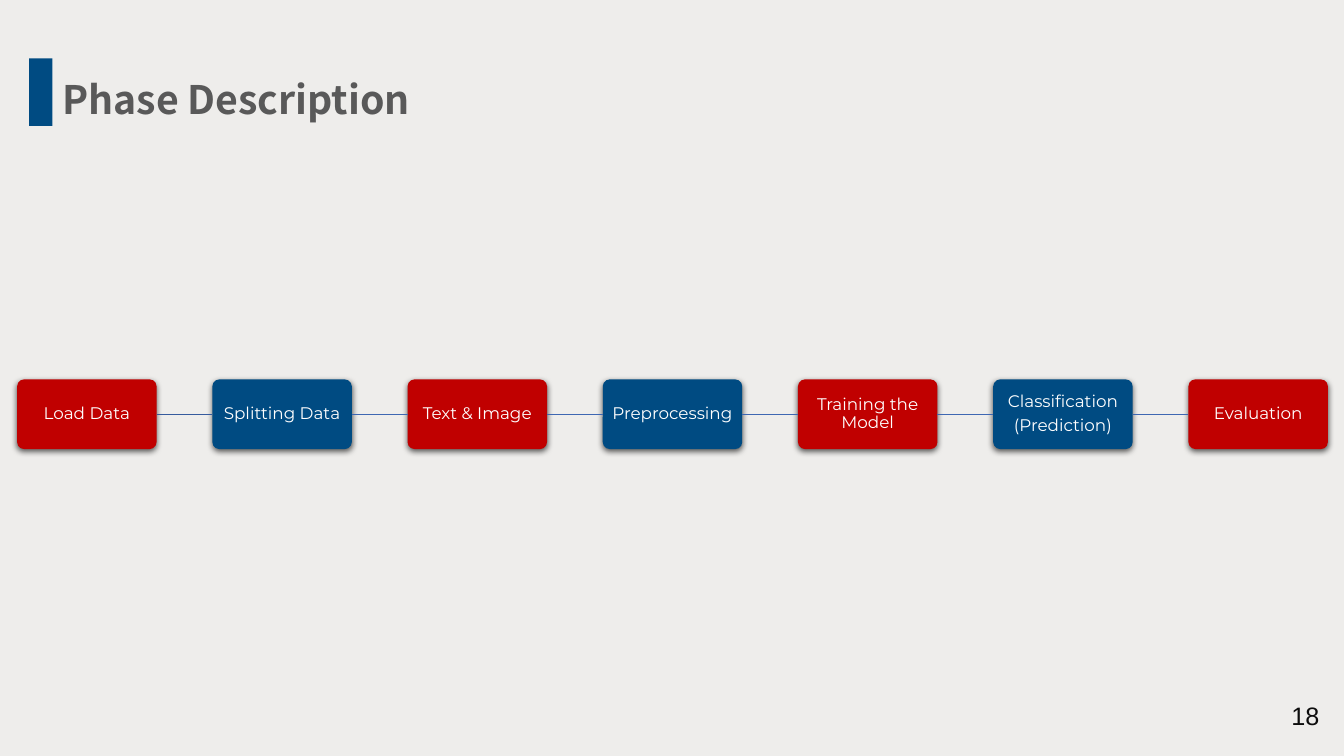
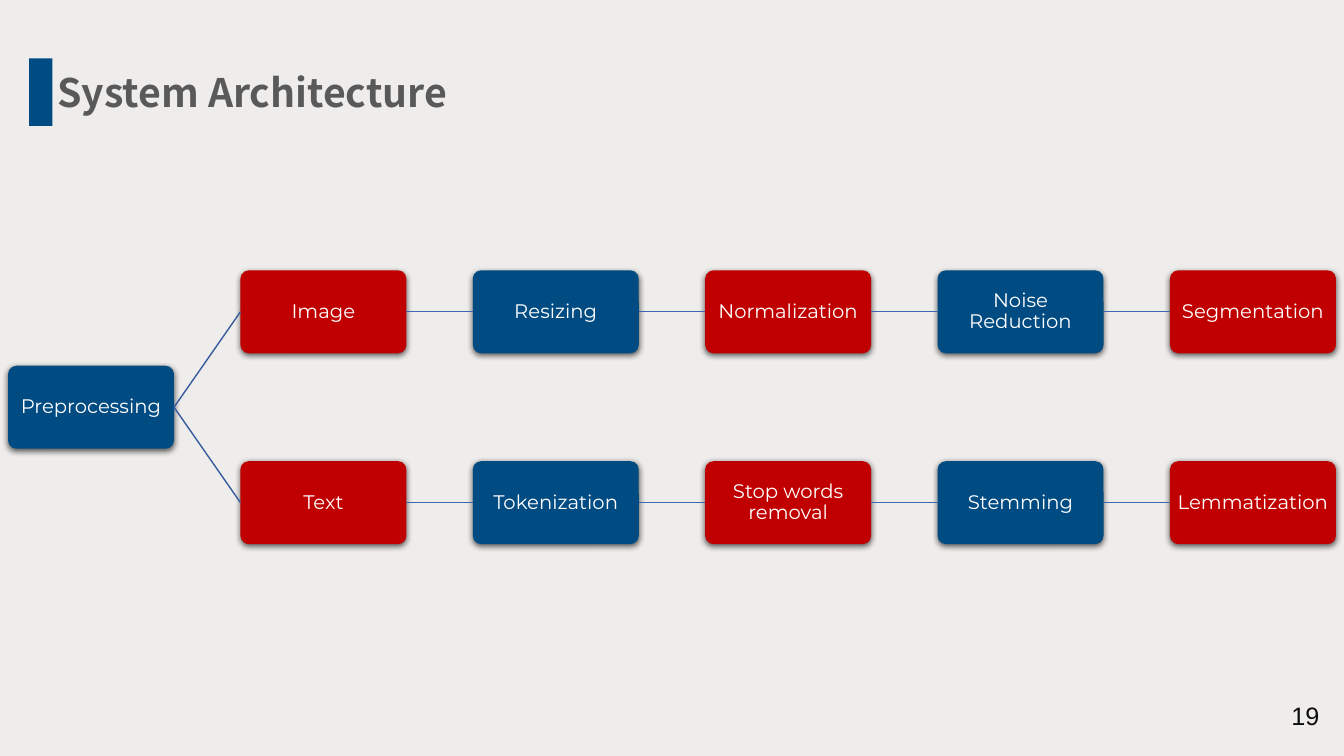
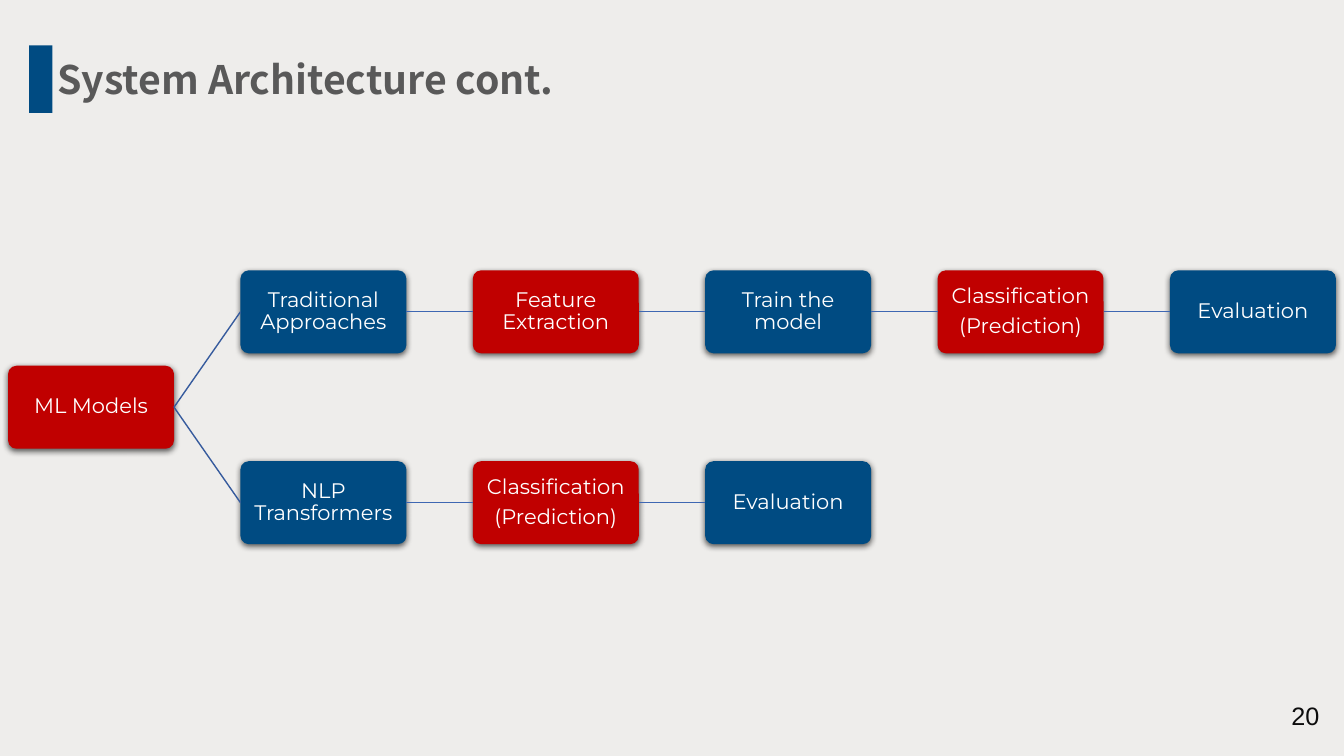
from dataclasses import dataclass

import lxml.etree
import pptx
import pptx.dml.color
import pptx.enum.shapes
import pptx.enum.text
import pptx.oxml.ns
import pptx.presentation
import pptx.shapes.autoshape
import pptx.slide
import pptx.text.text
import pptx.util

Inches = pptx.util.Inches
Align = pptx.enum.text.PP_ALIGN
Anchor = pptx.enum.text.MSO_ANCHOR
Shape = pptx.enum.shapes.MSO_SHAPE
Node = pptx.shapes.autoshape.Shape


@dataclass(frozen=True)
class Theme:
    background: str = "EEEDEB"
    blue: str = "004B82"
    red: str = "C00000"
    title: str = "595959"
    number: str = "0D0D0D"
    node_text: str = "FFFFFF"
    root_link: str = "365B9D"
    link: str = "3E67B2"
    shadow: str = "000000"
    title_font: str = "Noto Sans CJK SC"
    node_font: str = "Montserrat"
    number_font: str = "Arial"
    title_size: int = 28
    number_size: int = 18


THEME = Theme()
LEFT_SITE, RIGHT_SITE = 1, 3
GAP_RATIO = 0.4
ROW_RATIO = 1.15


@dataclass(frozen=True)
class Tree:
    root: str
    branches: tuple[tuple[str, ...], ...]
    colors: tuple[str, str]
    left: float
    right: float
    middle: float
    text_size: int


@dataclass(frozen=True)
class Topic:
    title: str
    number: int
    band_top: float
    title_left: float
    title_top: float
    tree: Tree


TOPICS = (
    Topic("Phase Description", 18, 0.58, 0.52, 0.7, Tree(
        "Load Data",
        (("Splitting Data", "Text & Image", "Preprocessing", "Training the Model",
          "Classification\n(Prediction)", "Evaluation"),),
        (THEME.red, THEME.blue), 0.17, 13.17, 4.11, 12)),
    Topic("System Architecture", 19, 0.58, 0.47, 0.63, Tree(
        "Preprocessing",
        (("Image", "Resizing", "Normalization", "Noise Reduction", "Segmentation"),
         ("Text", "Tokenization", "Stop words removal", "Stemming", "Lemmatization")),
        (THEME.blue, THEME.red), 0.08, 13.25, 4.04, 14)),
    Topic("System Architecture cont.", 20, 0.45, 0.47, 0.5, Tree(
        "ML Models",
        (("Traditional Approaches", "Feature Extraction", "Train the model",
          "Classification\n(Prediction)", "Evaluation"),
         ("NLP Transformers", "Classification\n(Prediction)", "Evaluation")),
        (THEME.red, THEME.blue), 0.08, 13.25, 4.04, 15)),
)


def rgb(color: str) -> pptx.dml.color.RGBColor:
    return pptx.dml.color.RGBColor.from_string(color)


def write_text(frame: pptx.text.text.TextFrame, text: str, *, font: str, size: int,
               color: str, bold: bool = False, align: Align = Align.LEFT,
               anchor: Anchor = Anchor.TOP, line_spacing: float = 1.0,
               space_after: float = 0, inset: float | None = None) -> None:
    frame.word_wrap = True
    frame.auto_size = pptx.enum.text.MSO_AUTO_SIZE.NONE
    frame.vertical_anchor = anchor
    if inset is not None:
        frame.margin_left = frame.margin_right = Inches(inset)
        frame.margin_top = frame.margin_bottom = Inches(inset)
    frame.text = text
    for para in frame.paragraphs:
        para.alignment = align
        para.line_spacing = line_spacing
        para.space_after = pptx.util.Pt(space_after)
        for span in para.runs:
            span.font.name = font
            span.font.size = pptx.util.Pt(size)
            span.font.bold = bold
            span.font.color.rgb = rgb(color)


def add_filled_shape(page: pptx.slide.Slide, kind: Shape, left: float, top: float,
                     width: float, height: float, color: str) -> Node:
    shape = page.shapes.add_shape(
        kind, Inches(left), Inches(top), Inches(width), Inches(height))
    shape.shadow.inherit = False
    shape.fill.solid()
    shape.fill.fore_color.rgb = rgb(color)
    shape.line.fill.background()
    return shape


def add_shadow(shape: Node) -> None:
    name = pptx.oxml.ns.qn
    effects = shape.element.spPr.find(name("a:effectLst"))
    shadow = lxml.etree.SubElement(
        effects, name("a:outerShdw"), blurRad=str(pptx.util.Pt(4.5)),
        dist=str(pptx.util.Pt(1.5)), dir="5400000", algn="ctr", rotWithShape="0")
    color = lxml.etree.SubElement(shadow, name("a:srgbClr"), val=THEME.shadow)
    lxml.etree.SubElement(color, name("a:alpha"), val="63000")


def add_link(page: pptx.slide.Slide, start: Node, end: Node, color: str) -> None:
    link = page.shapes.add_connector(
        pptx.enum.shapes.MSO_CONNECTOR.STRAIGHT, 0, 0, 0, 0)
    link.begin_connect(start, RIGHT_SITE)
    link.end_connect(end, LEFT_SITE)
    link.line.color.rgb = rgb(color)
    link.line.width = pptx.util.Pt(1)
    lxml.etree.SubElement(link.element.spPr, pptx.oxml.ns.qn("a:effectLst"))


def draw_tree(page: pptx.slide.Slide, tree: Tree) -> None:
    columns = 1 + max(len(branch) for branch in tree.branches)
    width = (tree.right - tree.left) / (columns + GAP_RATIO * (columns - 1))
    height = width / 2

    def add_node(text: str, column: int, center: float) -> Node:
        left = tree.left + column * width * (1 + GAP_RATIO)
        node = add_filled_shape(page, Shape.ROUNDED_RECTANGLE, left, center - height / 2,
                                width, height, tree.colors[column % 2])
        node.adjustments[0] = 0.1
        add_shadow(node)
        write_text(node.text_frame, text, font=THEME.node_font, size=tree.text_size,
                   color=THEME.node_text, align=Align.CENTER, anchor=Anchor.MIDDLE,
                   line_spacing=0.9, space_after=0.35 * tree.text_size, inset=0.03)
        return node

    root = add_node(tree.root, 0, tree.middle)
    for row, branch in enumerate(tree.branches):
        center = tree.middle + (row - (len(tree.branches) - 1) / 2) * ROW_RATIO * width
        previous = root
        for column, text in enumerate(branch, start=1):
            node = add_node(text, column, center)
            add_link(page, previous, node, THEME.root_link if column == 1 else THEME.link)
            previous = node


def add_topic(deck: pptx.presentation.Presentation, topic: Topic) -> None:
    page = deck.slides.add_slide(deck.slide_layouts.get_by_name("Title Only"))
    add_filled_shape(page, Shape.RECTANGLE, 0.29, topic.band_top, 0.23, 0.67, THEME.blue)
    title = page.shapes.title
    title.left, title.top = Inches(topic.title_left), Inches(topic.title_top)
    title.width, title.height = Inches(7.95), Inches(0.57)
    write_text(title.text_frame, topic.title, font=THEME.title_font,
               size=THEME.title_size, color=THEME.title, bold=True)
    draw_tree(page, topic.tree)
    number = page.shapes.add_textbox(
        Inches(12.71), Inches(6.9), Inches(0.54), Inches(0.4))
    write_text(number.text_frame, str(topic.number), font=THEME.number_font,
               size=THEME.number_size, color=THEME.number)


def main() -> None:
    deck = pptx.Presentation()
    deck.slide_width, deck.slide_height = Inches(13.33), Inches(7.5)
    background = deck.slide_master.background.fill
    background.solid()
    background.fore_color.rgb = rgb(THEME.background)
    for topic in TOPICS:
        add_topic(deck, topic)
    deck.save("out.pptx")


if __name__ == "__main__":
    main()
